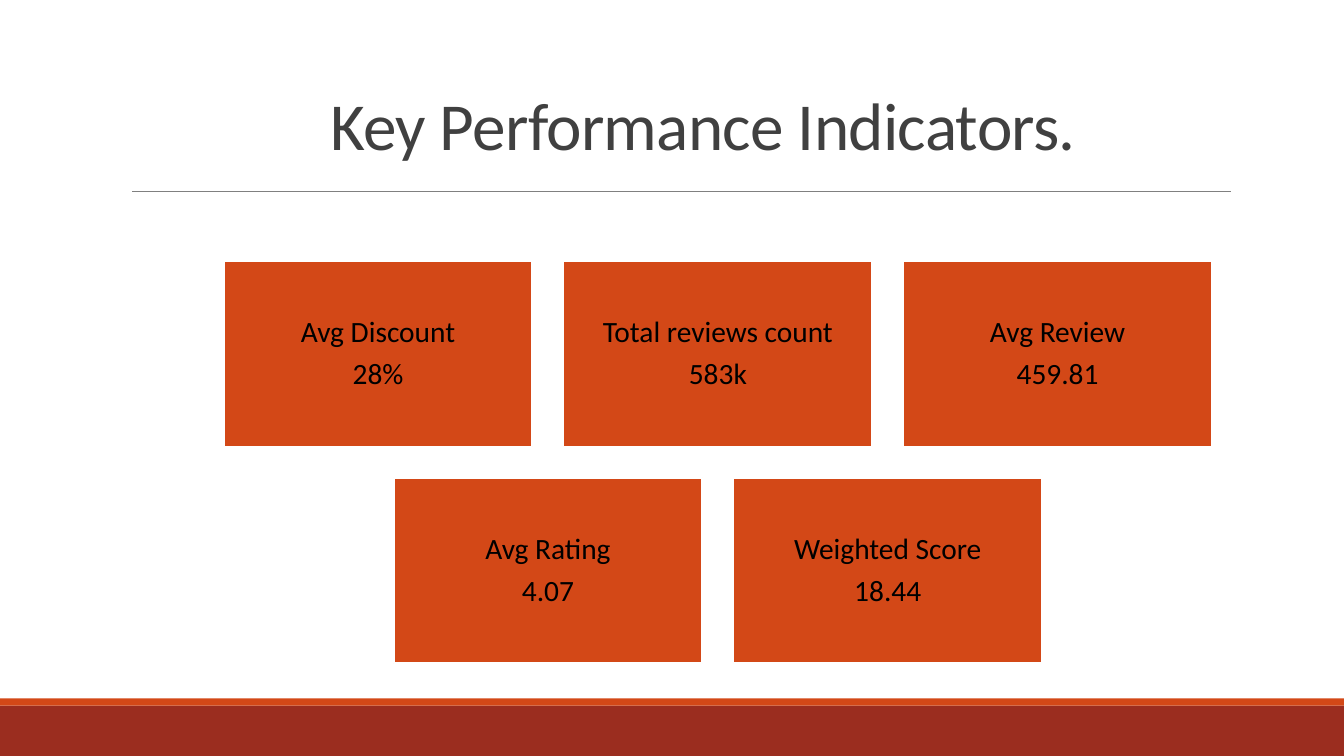
from lxml import etree
from pptx import Presentation
from pptx.dml.color import RGBColor
from pptx.enum.shapes import MSO_CONNECTOR, MSO_SHAPE
from pptx.enum.text import MSO_ANCHOR, PP_ALIGN
from pptx.oxml.ns import qn
from pptx.util import Inches, Pt

RECT = MSO_SHAPE.RECTANGLE
STRAIGHT = MSO_CONNECTOR.STRAIGHT
MIDDLE, BOTTOM = MSO_ANCHOR.MIDDLE, MSO_ANCHOR.BOTTOM
CENTER = PP_ALIGN.CENTER

WHITE = RGBColor(0xFF, 0xFF, 0xFF)
BLACK = RGBColor(0x00, 0x00, 0x00)
DARK_GRAY = RGBColor(0x40, 0x40, 0x40)
GRAY = RGBColor(0x80, 0x80, 0x80)
ORANGE = RGBColor(0xD3, 0x48, 0x17)
RED = RGBColor(0x9B, 0x2D, 0x1F)

FONT = "Calibri"
SLIDE_W, SLIDE_H = 13.33, 7.5
CARD_W, CARD_H = 3.06, 1.84
STEP_X, STEP_Y = 3.37, 2.15
CARDS_LEFT, CARDS_TOP = 2.22, 2.59

KPI_ROWS = [
    [("Avg Discount", "28%"), ("Total reviews count", "583k"), ("Avg Review", "459.81")],
    [("Avg Rating", "4.07"), ("Weighted Score", "18.44")],
]


def add_rect(s, x, y, w, h, fill):
    sp = s.shapes.add_shape(RECT, Inches(x), Inches(y), Inches(w), Inches(h))
    sp.shadow.inherit = False
    sp.fill.solid()
    sp.fill.fore_color.rgb = fill
    sp.line.fill.background()
    return sp


def add_run(p, text, size, color):
    r = p.add_run()
    r.text = text
    r.font.name = FONT
    r.font.size = Pt(size)
    r.font.color.rgb = color
    return r


def add_rule(s, x1, x2, y):
    line = s.shapes.add_connector(STRAIGHT, Inches(x1), Inches(y), Inches(x2), Inches(y))
    line.line.color.rgb = GRAY
    line.line.width = Pt(0.5)
    etree.SubElement(line._element.spPr, qn("a:effectLst"))


def add_title(s, text):
    sp = s.shapes.add_textbox(Inches(3.18), Inches(0.67), Inches(7.77), Inches(1.01))
    tf = sp.text_frame
    tf.word_wrap = True
    tf.vertical_anchor = BOTTOM
    p = tf.paragraphs[0]
    p.line_spacing = 0.85
    r = add_run(p, text, 48, DARK_GRAY)
    r.font._element.set("spc", "-50")


def add_card(s, x, y, lines):
    sp = add_rect(s, x, y, CARD_W, CARD_H, ORANGE)
    sp.line.color.rgb = WHITE
    sp.line.width = Pt(1.25)
    tf = sp.text_frame
    tf.word_wrap = True
    tf.vertical_anchor = MIDDLE
    tf.margin_left = tf.margin_right = tf.margin_top = tf.margin_bottom = Inches(0.09)
    for i, text in enumerate(lines):
        p = tf.add_paragraph() if i else tf.paragraphs[0]
        p.alignment = CENTER
        p.line_spacing = 0.9
        p.space_after = Pt(7.35)
        add_run(p, text, 21, BLACK)


def main():
    prs = Presentation()
    prs.slide_width, prs.slide_height = Inches(SLIDE_W), Inches(SLIDE_H)
    s = prs.slides.add_slide(prs.slide_layouts[6])

    # Footer bands
    add_rect(s, 0, 7, SLIDE_W, 0.5, RED)
    add_rect(s, 0, 6.93, SLIDE_W, 0.07, ORANGE)

    # Title and rule
    add_rule(s, 1.31, 12.21, 1.9)
    add_title(s, "Key Performance Indicators.")

    # KPI cards, with the shorter row centred under the longer one
    for row, cards in enumerate(KPI_ROWS):
        left = CARDS_LEFT + (len(KPI_ROWS[0]) - len(cards)) * STEP_X / 2
        for col, lines in enumerate(cards):
            add_card(s, left + col * STEP_X, CARDS_TOP + row * STEP_Y, lines)

    prs.save("out.pptx")


if __name__ == "__main__":
    main()
